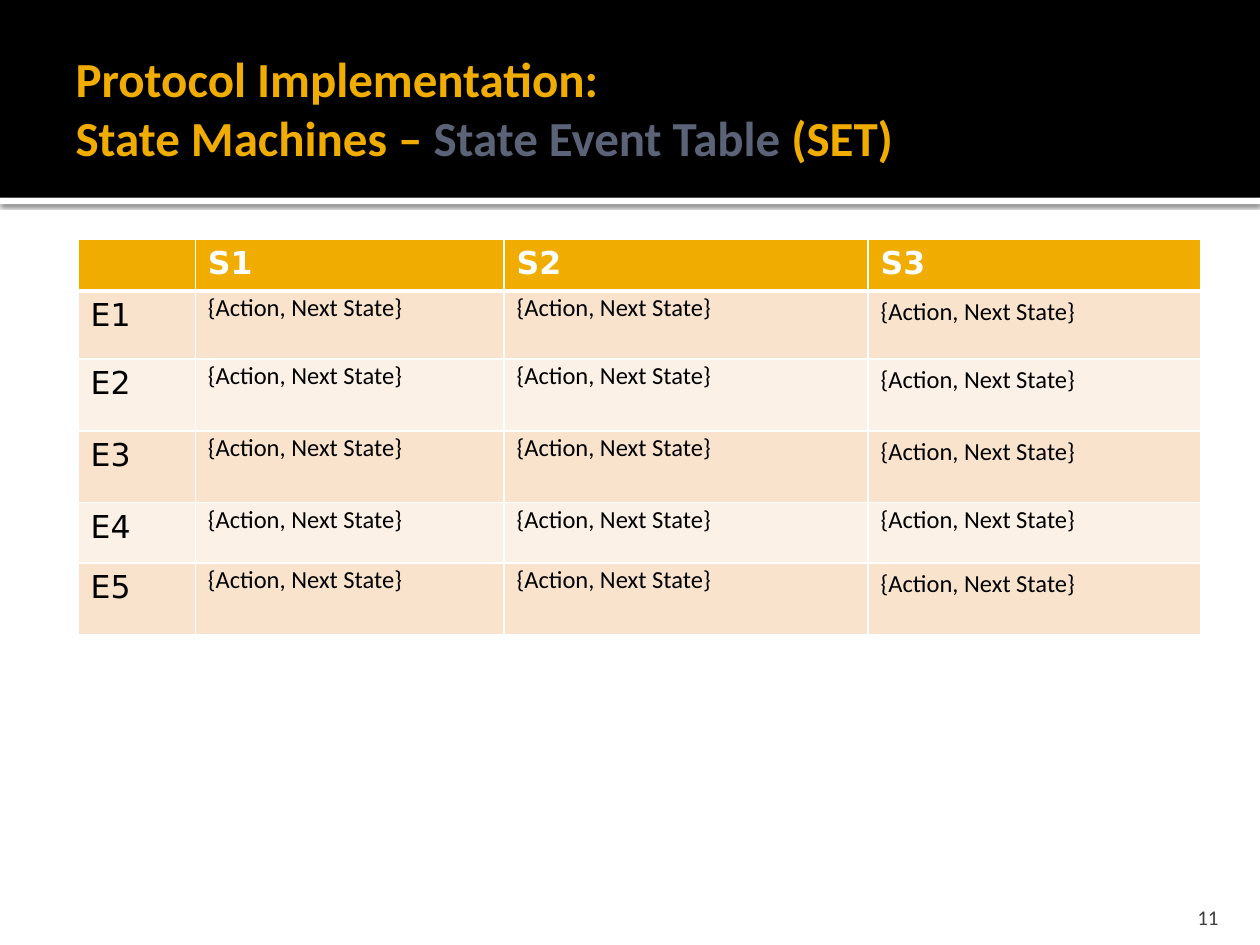
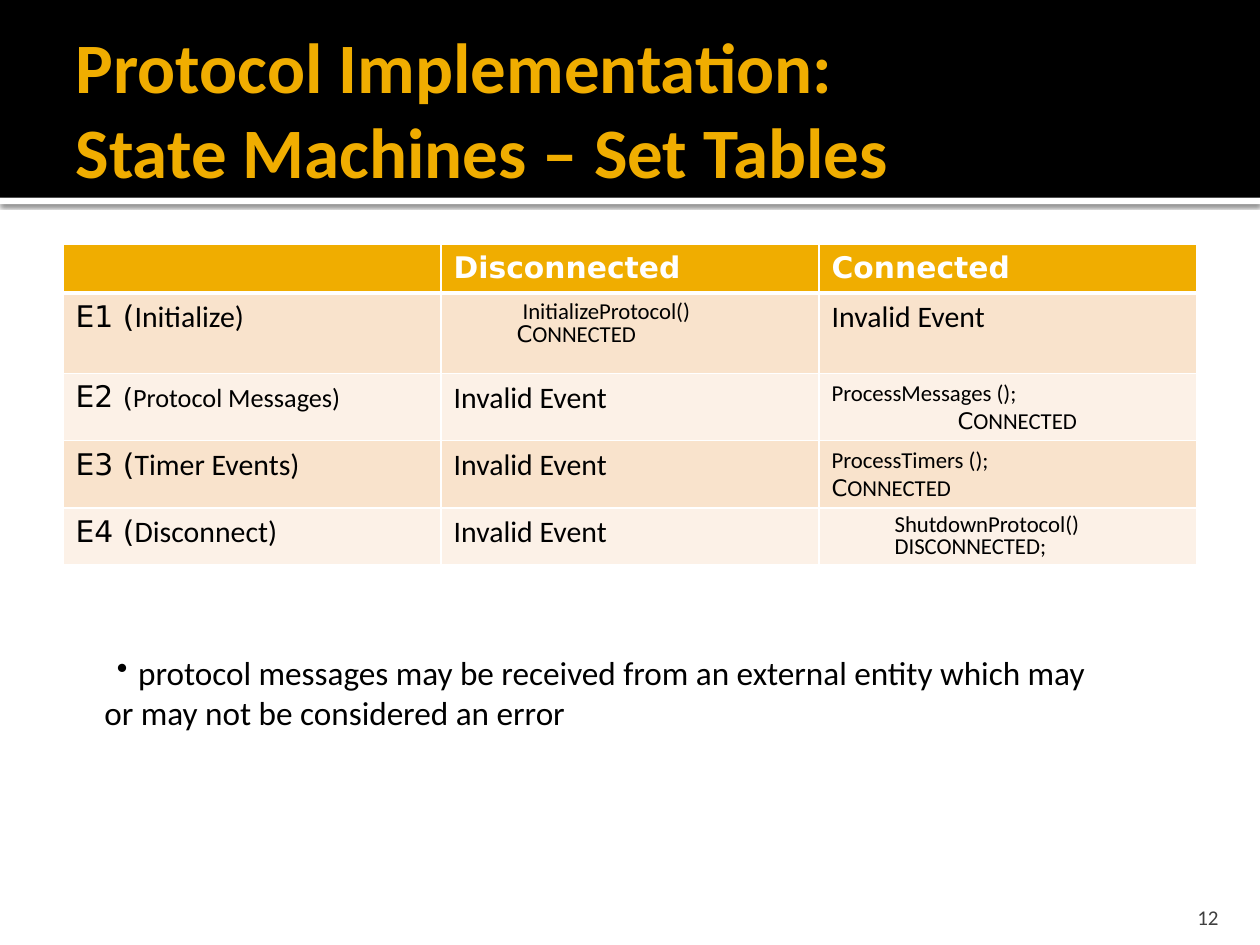
from dataclasses import dataclass

from lxml import etree
from pptx import Presentation
from pptx.dml.color import RGBColor
from pptx.enum.shapes import MSO_SHAPE
from pptx.enum.text import MSO_ANCHOR, MSO_AUTO_SIZE, PP_ALIGN
from pptx.oxml.ns import qn
from pptx.util import Inches, Pt

RECTANGLE = MSO_SHAPE.RECTANGLE
MIDDLE, BOTTOM = MSO_ANCHOR.MIDDLE, MSO_ANCHOR.BOTTOM
LEFT, RIGHT = PP_ALIGN.LEFT, PP_ALIGN.RIGHT
NO_FIT, GROW = MSO_AUTO_SIZE.NONE, MSO_AUTO_SIZE.SHAPE_TO_FIT_TEXT

BODY_FONT, LABEL_FONT = "Calibri", "DejaVu Sans"
BLACK, WHITE, GOLD, SLATE, GRAY = "000000", "FFFFFF", "F0AD00", "5A6378", "3F3F3F"
ROW_FILLS = ("F9E3CC", "FCF1E7")
TITLE_ONLY_LAYOUT = 5


@dataclass(frozen=True)
class Run:
    text: str
    size: float
    font: str = BODY_FONT
    color: str = BLACK
    bold: bool = False


@dataclass(frozen=True)
class Line:
    runs: tuple[Run, ...]
    spacing: float = 1.0
    indent: float = 0


@dataclass(frozen=True)
class StateTable:
    left: float
    top: float
    columns: tuple[float, ...]
    rows: tuple[float, ...]
    cells: list[list[list[Line]]]


def rgb(color: str) -> RGBColor:
    return RGBColor.from_string(color)


def line(text: str, size: float, font: str = BODY_FONT, spacing: float = 1.0,
         indent: float = 0) -> Line:
    return Line((Run(text, size, font),), spacing, indent)


def style_font(font, run: Run) -> None:
    font.name, font.size, font.bold = run.font, Pt(run.size), run.bold
    font.color.rgb = rgb(run.color)


def write_runs(paragraph, runs: tuple[Run, ...]) -> None:
    """Write the runs, turning each newline into a line break."""
    style_font(paragraph.font, runs[0])
    for run in runs:
        for number, part in enumerate(run.text.split("\n")):
            if number:
                paragraph.add_line_break()
            if part:
                text_run = paragraph.add_run()
                text_run.text = part
                if len(runs) > 1:
                    style_font(text_run.font, run)


def write_lines(frame, lines: list[Line]) -> None:
    for number, content in enumerate(lines):
        paragraph = frame.add_paragraph() if number else frame.paragraphs[0]
        write_runs(paragraph, content.runs)
        if content.spacing != 1:
            paragraph.line_spacing = content.spacing
        if content.indent:
            paragraph._p.get_or_add_pPr().set("marL", str(Inches(content.indent)))


# Shared parts

def add_band(slide, top: float, height: float, color: str):
    band = slide.shapes.add_shape(RECTANGLE, 0, Inches(top), Inches(10), Inches(height))
    band.shadow.inherit = False
    band.fill.solid()
    band.fill.fore_color.rgb = rgb(color)
    band.line.fill.background()
    return band


def add_bands(slide) -> None:
    """Draw the header bands and keep them behind the title."""
    rule = add_band(slide, 1.57, 0.05, WHITE)
    effects = rule.element.spPr.find(qn("a:effectLst"))
    shadow = etree.SubElement(effects, qn("a:outerShdw"), blurRad=str(Pt(2.5)),
                              dist=str(Pt(0.8)), dir="5400000", rotWithShape="0")
    shadow_color = etree.SubElement(shadow, qn("a:srgbClr"), val=BLACK)
    etree.SubElement(shadow_color, qn("a:alpha"), val="60000")
    header = add_band(slide, 0, 1.57, BLACK)
    for position, band in enumerate((rule, header), start=2):
        slide.shapes.element.insert(position, band.element)


def add_title_slide(presentation, runs: tuple[Run, ...], number: int):
    slide = presentation.slides.add_slide(presentation.slide_layouts[TITLE_ONLY_LAYOUT])
    add_bands(slide)

    title = slide.shapes.title
    title.left, title.top = Inches(0.5), Inches(0.17)
    title.width, title.height = Inches(9), Inches(1.37)
    frame = title.text_frame
    frame.auto_size, frame.vertical_anchor = NO_FIT, MIDDLE
    frame.margin_left = Inches(0.1)
    frame.margin_right = frame.margin_top = frame.margin_bottom = Inches(0.05)
    write_runs(frame.paragraphs[0], runs)
    frame.paragraphs[0].alignment = LEFT

    footer = slide.shapes.add_textbox(Inches(8.97), Inches(7.08), Inches(0.8), Inches(0.3))
    frame = footer.text_frame
    frame.word_wrap, frame.vertical_anchor, frame.margin_bottom = True, BOTTOM, 0
    write_runs(frame.paragraphs[0], (Run(str(number), 12, color=GRAY),))
    frame.paragraphs[0].alignment = RIGHT
    return slide


# Tables

def set_borders(cell, top: float, bottom: float) -> None:
    properties = cell._tc.get_or_add_tcPr()
    for side, width in (("L", 1), ("R", 1), ("T", top), ("B", bottom)):
        border = etree.SubElement(properties, qn(f"a:ln{side}"), w=str(Pt(width)))
        fill = etree.SubElement(border, qn("a:solidFill"))
        etree.SubElement(fill, qn("a:srgbClr"), val=WHITE)


def add_state_table(slide, content: StateTable) -> None:
    frame = slide.shapes.add_table(
        len(content.rows), len(content.columns), Inches(content.left), Inches(content.top),
        Inches(sum(content.columns)), Inches(sum(content.rows)))
    table = frame.table
    table.horz_banding = False
    for column, width in zip(table.columns, content.columns):
        column.width = Inches(width)
    for row, height in zip(table.rows, content.rows):
        row.height = Inches(height)
    for row_number, row_cells in enumerate(content.cells):
        fill = ROW_FILLS[(row_number - 1) % 2] if row_number else GOLD
        for column_number, lines in enumerate(row_cells):
            cell = table.cell(row_number, column_number)
            set_borders(cell, 3 if row_number == 1 else 1, 1 if row_number else 3)
            cell.fill.solid()
            cell.fill.fore_color.rgb = rgb(fill)
            write_lines(cell.text_frame, lines)


def header_row(names: tuple[str, ...], size: float) -> list[list[Line]]:
    return [[Line((Run(name, size, LABEL_FONT, WHITE, True),))] for name in names]


# Slide contents

def event_row(event: str) -> list[list[Line]]:
    tight = line("{Action, Next State}", 14, spacing=0.8)
    loose = line("{Action, Next State}", 14)
    return [[line(event, 18, LABEL_FONT)], [tight], [tight],
            [tight if event == "E4" else loose]]


def event_label(event: str, name: str) -> list[Line]:
    return [Line((Run(f"{event} (", 17, LABEL_FONT), Run(f"{name})", 17)))]


def connected(spacing: float = 1.0, indent: float = 0) -> Line:
    return Line((Run("C", 13, LABEL_FONT), Run("ONNECTED", 13)), spacing, indent)


def add_event_table_slide(presentation) -> None:
    slide = add_title_slide(presentation, (
        Run("Protocol Implementation:\nState Machines – ", 28, color=GOLD, bold=True),
        Run("State Event Table", 28, color=SLATE, bold=True),
        Run(" (SET)", 28, color=GOLD, bold=True)), 11)
    add_state_table(slide, StateTable(
        0.62, 1.9, (0.93, 2.45, 2.89, 2.64), (0.41, 0.54, 0.57, 0.57, 0.48, 0.57),
        [header_row(("", "S1", "S2", "S3"), 18)]
        + [event_row(f"E{number}") for number in range(1, 6)]))


def add_set_tables_slide(presentation) -> None:
    slide = add_title_slide(presentation, (
        Run("Protocol Implementation:\nState Machines – Set Tables", 40.5,
            color=GOLD, bold=True),), 12)
    invalid = [line("Invalid Event", 17)]
    initialize = Line((Run(" ", 15), Run("InitializeProtocol()", 13)), 0.8, 0.5)
    messages_label = [Line((Run("E2 ", 17, LABEL_FONT), Run("(", 15, LABEL_FONT),
                            Run("Protocol Messages)", 15)))]
    shutdown = [line(text, 13, spacing=0.8, indent=0.5)
                for text in ("ShutdownProtocol()", "DISCONNECTED;")]
    add_state_table(slide, StateTable(
        0.5, 1.94, (3, 3, 3), (0.38, 0.64, 0.53, 0.53, 0.44), [
            header_row(("", "Disconnected", "Connected"), 17),
            [event_label("E1", "Initialize"), [initialize, connected(0.8, 0.5)], invalid],
            [messages_label, invalid,
             [line("ProcessMessages ();", 13), connected(indent=1)]],
            [event_label("E3", "Timer Events"), invalid,
             [line("ProcessTimers ();", 13), connected()]],
            [event_label("E4", "Disconnect"), invalid, shutdown],
        ]))

    # Remark below the table
    remark = slide.shapes.add_textbox(Inches(0.63), Inches(5.13), Inches(8.15), Inches(0.74))
    remark.text_frame.word_wrap = True
    remark.text_frame.auto_size = GROW
    paragraph = remark.text_frame.paragraphs[0]
    properties = paragraph._p.get_or_add_pPr()
    properties.set("marL", str(Inches(0.1)))
    properties.set("indent", str(Inches(0.1)))
    etree.SubElement(properties, qn("a:buChar"), char="•")
    write_runs(paragraph, (
        Run(" ", 18, LABEL_FONT),
        Run("protocol messages may be received from an external entity which may "
            "or may not be considered an error", 19)))


def main() -> None:
    presentation = Presentation()
    presentation.slide_width, presentation.slide_height = Inches(10), Inches(7.5)
    add_event_table_slide(presentation)
    add_set_tables_slide(presentation)
    presentation.save("out.pptx")


if __name__ == "__main__":
    main()
